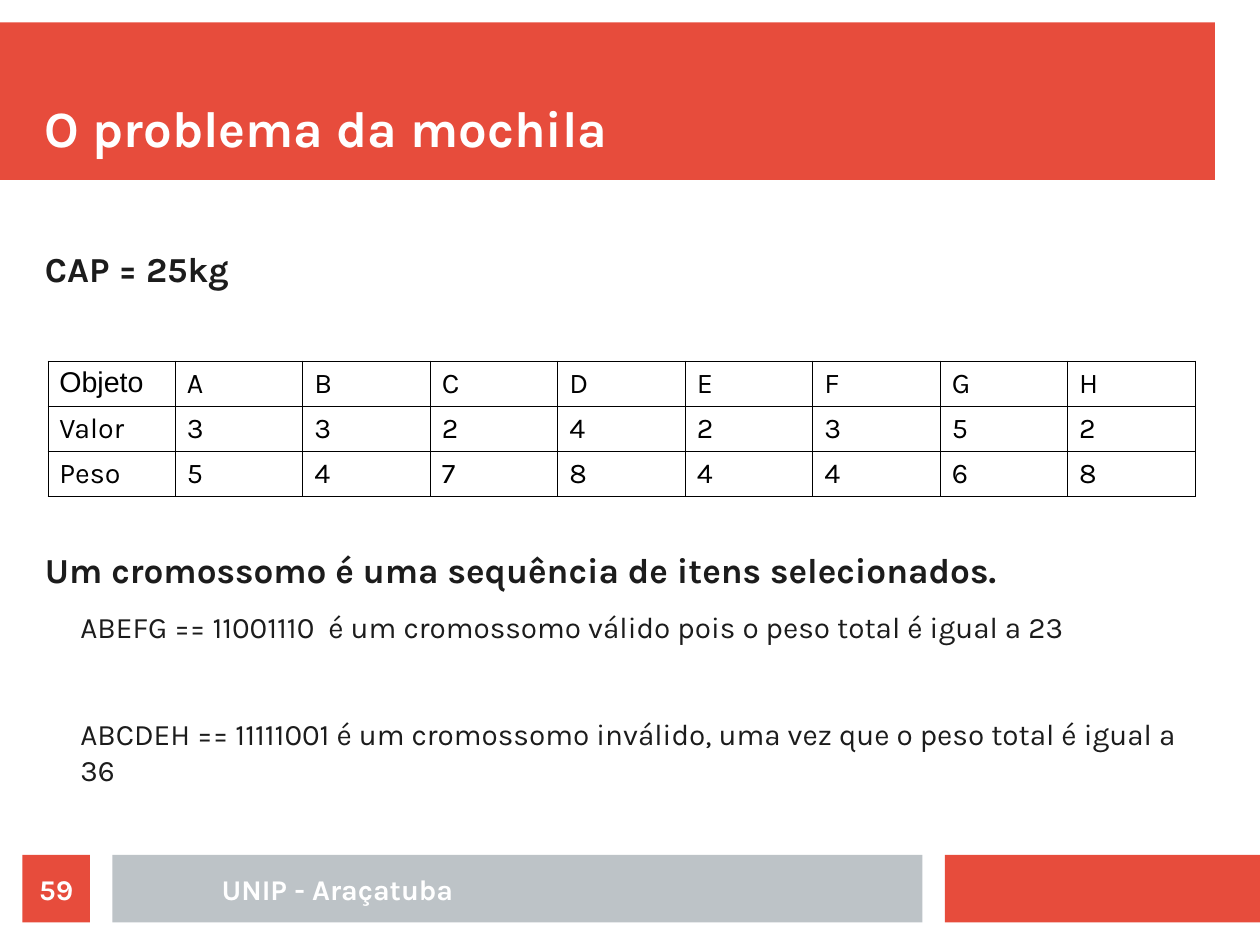
"""Build the knapsack problem slide on a grid of 56 columns by 42 rows."""
import dataclasses

import lxml.etree
import pptx
import pptx.dml.color
import pptx.enum.shapes
import pptx.enum.text
import pptx.oxml.ns
import pptx.util

COLUMNS, ROWS = 56, 42
RED, GREY, WHITE, INK, BLACK = "E74C3C", "BDC3C7", "FFFFFF", "1C1C1C", "000000"
ALIGN = pptx.enum.text.PP_ALIGN
ANCHOR = pptx.enum.text.MSO_ANCHOR

presentation = pptx.Presentation()
presentation.slide_width = pptx.util.Cm(28)
presentation.slide_height = pptx.util.Cm(21)


@dataclasses.dataclass(frozen=True)
class Area:
    column: float
    row: float
    columns: float
    rows: float

    def box(self) -> tuple[int, int, int, int]:
        width = presentation.slide_width / COLUMNS
        height = presentation.slide_height / ROWS
        return (round(self.column * width), round(self.row * height),
                round(self.columns * width), round(self.rows * height))


@dataclasses.dataclass(frozen=True)
class Block:
    area: Area
    color: str


@dataclasses.dataclass(frozen=True)
class Line:
    text: str
    size: float
    bold: bool
    before: float = 0
    after: float = 11.4
    indent: float = 0


TITLE_AREA = Area(2, 2, 52, 5)
BODY_AREA = Area(2, 11, 51, 26)
TABLE_AREA = Area(2.13, 16.05, 51, 5.94)
FOOTER_AREA = Area(6, 38, 18, 3)
NUMBER_BLOCK = Block(Area(1, 38, 3, 3), RED)
BANDS = [
    Block(Area(0, 1, 54, 7), RED),
    Block(Area(42, 38, 14, 3), RED),
    Block(Area(5, 38, 36, 3), GREY),
]
BODY = [
    Line("CAP = 25kg", 22.1, True),
    Line("Um cromossomo é uma sequência de itens selecionados.", 22.1, True, before=151.5),
    Line("ABEFG == 11001110  é um cromossomo válido pois o peso total é igual a 23",
         18.7, False, after=11.3, indent=0.31),
    Line("ABCDEH == 11111001 é um cromossomo inválido, uma vez que o peso total é igual a 36",
         18.7, False, before=34, after=11.3, indent=0.31),
]
ITEMS = [
    ["Objeto", *"ABCDEFGH"],
    ["Valor", *"33242352"],
    ["Peso", *"54784468"],
]


def rgb(color: str) -> pptx.dml.color.RGBColor:
    return pptx.dml.color.RGBColor.from_string(color)


def write(paragraph, text: str, *, size: float, color: str = WHITE, bold: bool = True,
          font: str = "Karla", align=ALIGN.LEFT, before: float = 0, after: float = 0,
          indent: float = 0) -> None:
    if indent:
        paragraph._p.get_or_add_pPr().set("marL", str(pptx.util.Inches(indent)))
    paragraph.alignment = align
    if before:
        paragraph.space_before = pptx.util.Pt(before)
    paragraph.space_after = pptx.util.Pt(after)
    run = paragraph.add_run()
    run.text = text
    run.font.name = font
    run.font.size = pptx.util.Pt(size)
    run.font.bold = bold
    run.font.color.rgb = rgb(color)


def prepare_frame(shape, anchor):
    frame = shape.text_frame
    frame.word_wrap = True
    frame.auto_size = pptx.enum.text.MSO_AUTO_SIZE.NONE
    frame.vertical_anchor = anchor
    frame.margin_left = frame.margin_right = frame.margin_top = frame.margin_bottom = 0
    return frame


def add_block(slide, block: Block):
    shape = slide.shapes.add_shape(pptx.enum.shapes.MSO_SHAPE.RECTANGLE, *block.area.box())
    shape.shadow.inherit = False
    shape.fill.solid()
    shape.fill.fore_color.rgb = rgb(block.color)
    shape.line.fill.background()
    return shape


def add_title(slide, text: str) -> None:
    title = slide.shapes.title
    title.left, title.top, title.width, title.height = TITLE_AREA.box()
    frame = prepare_frame(title, ANCHOR.BOTTOM)
    write(frame.paragraphs[0], text, size=32)
    slide.shapes._spTree.append(title._element)


def add_body(slide, lines: list[Line]) -> None:
    frame = prepare_frame(slide.shapes.add_textbox(*BODY_AREA.box()), ANCHOR.TOP)
    for index, line in enumerate(lines):
        paragraph = frame.add_paragraph() if index else frame.paragraphs[0]
        write(paragraph, color=INK, **dataclasses.asdict(line))


def add_borders(cell) -> None:
    properties = cell._tc.get_or_add_tcPr()
    qualify = pptx.oxml.ns.qn
    for side in ("lnL", "lnR", "lnT", "lnB"):
        border = lxml.etree.SubElement(properties, qualify(f"a:{side}"),
                                       w=str(pptx.util.Pt(0.57)))
        fill = lxml.etree.SubElement(border, qualify("a:solidFill"))
        lxml.etree.SubElement(fill, qualify("a:srgbClr"), val=BLACK)


def add_items(slide, items: list[list[str]]) -> None:
    table = slide.shapes.add_table(len(items), len(items[0]), *TABLE_AREA.box()).table
    table.first_row = table.horz_banding = False
    for row, texts in enumerate(items):
        for column, text in enumerate(texts):
            cell = table.cell(row, column)
            add_borders(cell)
            cell.fill.background()
            font = "Arial" if text == "Objeto" else "Karla"
            write(cell.text_frame.paragraphs[0], text, size=18, color=BLACK,
                  bold=False, font=font)


def add_footer(slide) -> None:
    footer = slide.shapes.add_textbox(*FOOTER_AREA.box())
    number = add_block(slide, NUMBER_BLOCK)
    for shape, text in ((footer, "UNIP - Araçatuba"), (number, "59")):
        frame = prepare_frame(shape, ANCHOR.MIDDLE)
        write(frame.paragraphs[0], text, size=18, align=ALIGN.CENTER)


def main() -> None:
    slide = presentation.slides.add_slide(presentation.slide_layouts.get_by_name("Title Only"))
    for band in BANDS:
        add_block(slide, band)
    add_title(slide, "O problema da mochila")
    add_body(slide, BODY)
    add_items(slide, ITEMS)
    add_footer(slide)
    presentation.save("out.pptx")


if __name__ == "__main__":
    main()
